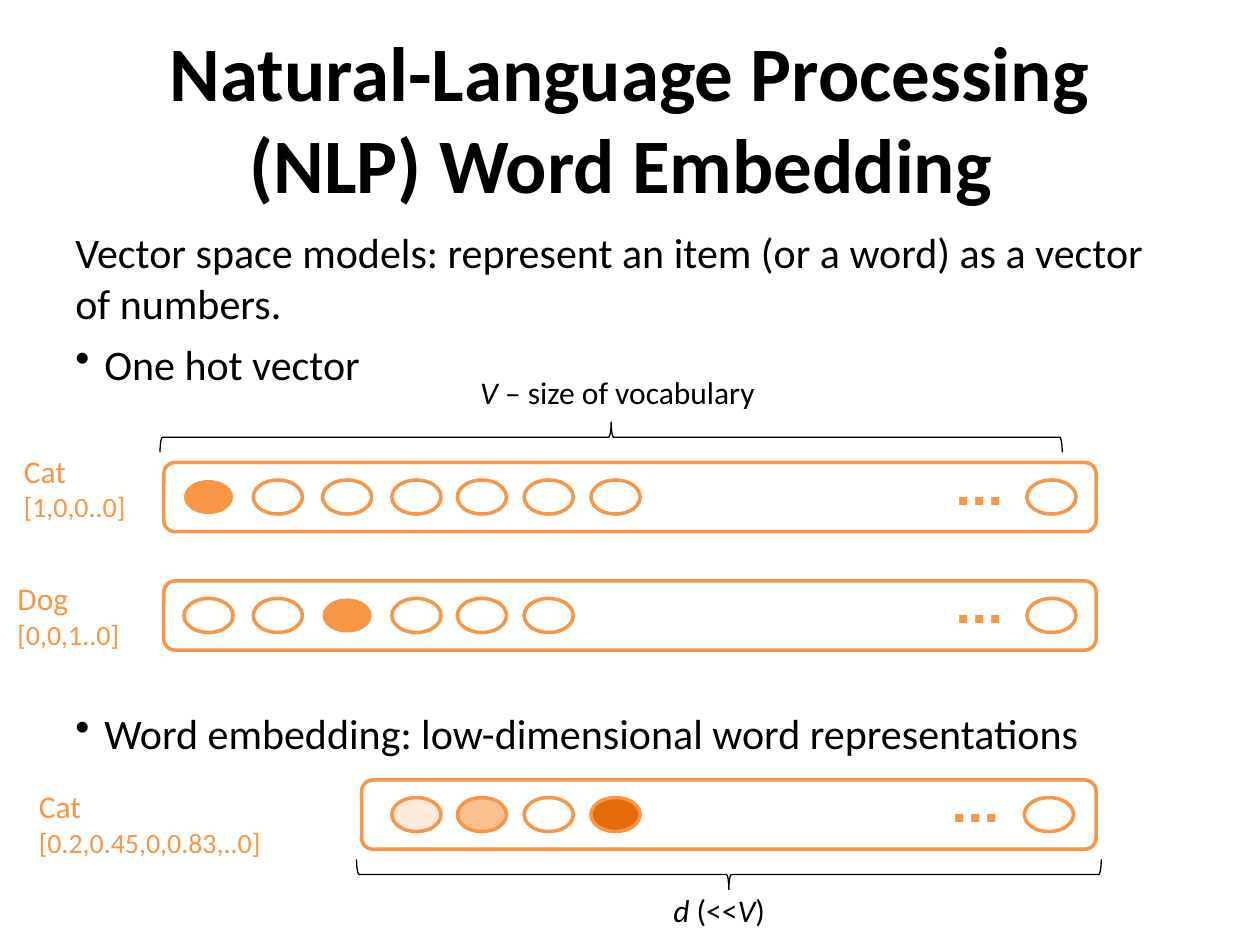
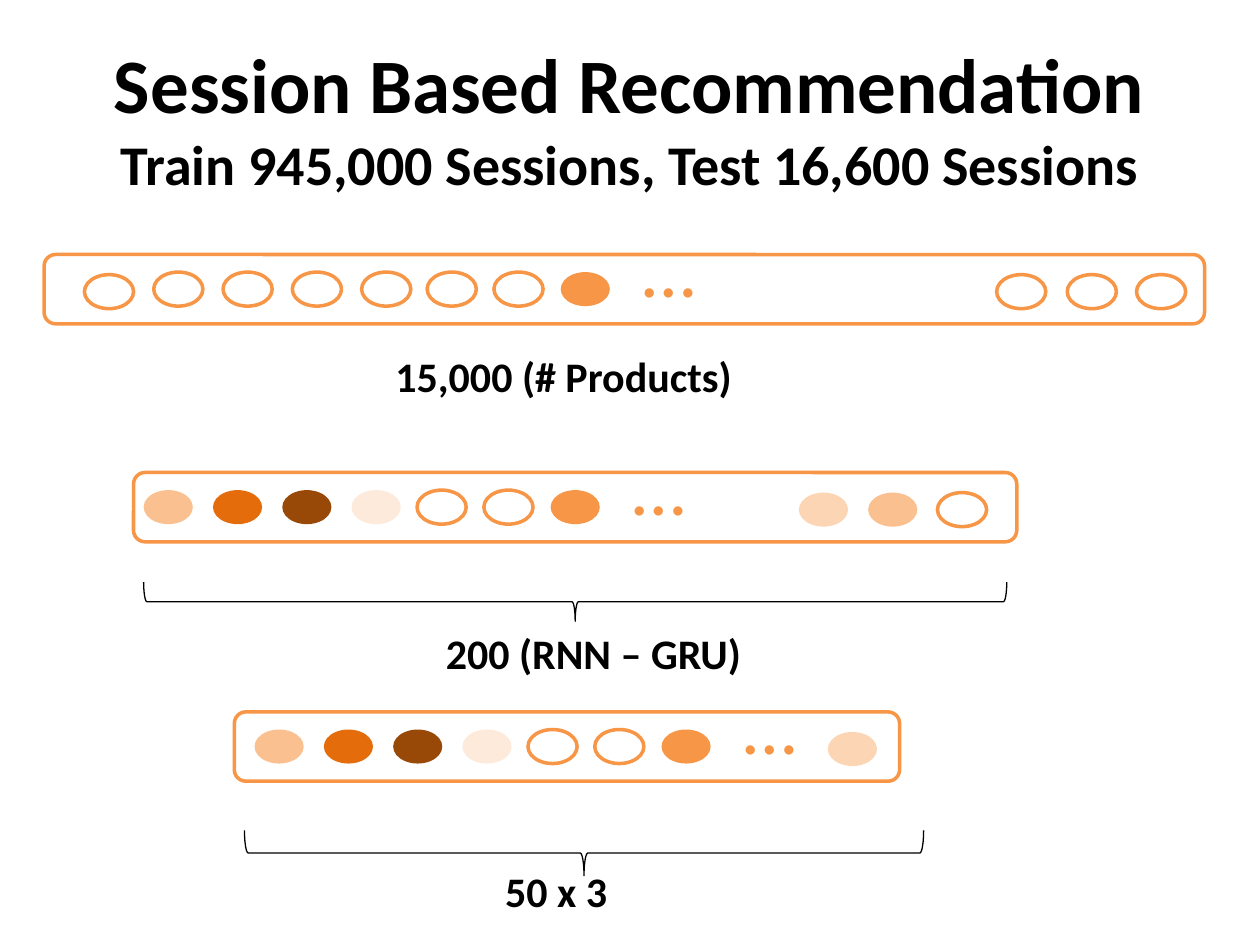
"""Build two slides on word embeddings and session based recommendation."""
from dataclasses import dataclass

import pptx
import pptx.dml.color
import pptx.enum.shapes
import pptx.enum.text
import pptx.oxml.ns
import pptx.util
from lxml import etree

Inches = pptx.util.Inches
Pt = pptx.util.Pt
Shape = pptx.enum.shapes.MSO_SHAPE
Align = pptx.enum.text.PP_ALIGN


@dataclass(frozen=True)
class Theme:
    font: str = "Calibri"
    ink: str = "000000"
    orange: str = "F79646"
    white: str = "FFFFFF"
    palest: str = "FDEADA"
    pale: str = "FCD5B5"
    light: str = "FAC090"
    dark: str = "E46C0A"
    brown: str = "984807"
    title: int = 44
    subtitle: int = 32
    body: int = 24
    label: int = 18
    vector: int = 16


T = Theme()
COLUMNS = (0, 0.55, 1.1, 1.65, 2.17, 2.7, 3.23)


def rgb(color):
    return pptx.dml.color.RGBColor.from_string(color)


class Deck:
    def __init__(self):
        self.deck = pptx.Presentation()
        self.deck.slide_width = Inches(10)
        self.deck.slide_height = Inches(7.5)
        self.slide = None

    def new_slide(self):
        self.slide = self.deck.slides.add_slide(self.deck.slide_layouts[6])

    def style(self, paragraph, size, color=T.ink, bold=False):
        font = paragraph.font
        font.name, font.size, font.bold = T.font, Pt(size), bold
        font.color.rgb = rgb(color)

    def text_frame(self, left, top, width, height, wrap=True):
        box = self.slide.shapes.add_textbox(
            Inches(left), Inches(top), Inches(width), Inches(height))
        box.text_frame.word_wrap = wrap
        return box.text_frame

    def title(self, heading, subtitle=None):
        frame = self.text_frame(0.5, 0.3, 9, 1.25)
        frame.vertical_anchor = pptx.enum.text.MSO_ANCHOR.MIDDLE
        paragraph = frame.paragraphs[0]
        paragraph.alignment = Align.CENTER
        paragraph.add_run().text = heading
        if subtitle:
            paragraph.add_line_break()
            run = paragraph.add_run()
            run.text = subtitle
            run.font.size = Pt(T.subtitle)
        self.style(paragraph, T.title, bold=True)

    def body(self, intro, bullets):
        frame = self.text_frame(0.5, 1.75, 9, 4.95)
        frame.paragraphs[0].text = intro
        self.style(frame.paragraphs[0], T.body)
        for text, gap in bullets:
            paragraph = frame.add_paragraph()
            paragraph.text = text
            paragraph.space_before = Pt(gap)
            properties = paragraph._p.get_or_add_pPr()
            properties.set("marL", str(Inches(0.23)))
            properties.set("indent", str(-Inches(0.23)))
            bullet = etree.SubElement(properties, pptx.oxml.ns.qn("a:buChar"))
            bullet.set("char", "•")
            self.style(paragraph, T.body)

    def word(self, name, vector, left, top, width):
        frame = self.text_frame(left, top, width, 0.67, wrap=False)
        frame.text = f"{name}\n{vector}"
        for paragraph, size in zip(frame.paragraphs, (T.label, T.vector)):
            self.style(paragraph, size, T.orange)

    def measure(self, parts, left, top, width):
        paragraph = self.text_frame(left, top, width, 0.4, wrap=False).paragraphs[0]
        paragraph.alignment = Align.RIGHT
        for text, italic in parts:
            run = paragraph.add_run()
            run.text = text
            run.font.italic = italic
        self.style(paragraph, T.label)

    def caption(self, text, left, top, width):
        paragraph = self.text_frame(left, top, width, 0.5, wrap=False).paragraphs[0]
        paragraph.text = text
        self.style(paragraph, T.body, bold=True)

    def shape(self, kind, left, top, width, height, fill=None, line=None, weight=2):
        shape = self.slide.shapes.add_shape(
            kind, Inches(left), Inches(top), Inches(width), Inches(height))
        shape.shadow.inherit = False
        if fill:
            shape.fill.solid()
            shape.fill.fore_color.rgb = rgb(fill)
        else:
            shape.fill.background()
        if line:
            shape.line.color.rgb = rgb(line)
            shape.line.width = Pt(weight)
        else:
            shape.line.fill.background()
        return shape

    def brace(self, left, top, width, depth, rotation):
        shift = (width - depth) / 2
        self.shape(Shape.LEFT_BRACE, left + shift, top - shift, depth, width,
                   line=T.ink, weight=0.75).rotation = rotation

    def ellipsis(self, left, top, from_right):
        paragraph = self.text_frame(left, top, 2.84, 0.84).paragraphs[0]
        paragraph.text = "…"
        if from_right:
            paragraph.alignment = Align.RIGHT
            paragraph._p.get_or_add_pPr().set("rtl", "1")
        self.style(paragraph, T.title, T.orange)

    def unit(self, left, top, fill, outlined=False):
        line = T.orange if outlined or fill == T.white else None
        self.shape(Shape.OVAL, left, top, 0.39, 0.27, fill, line)

    def layer(self, left, top, width, first, fills, extras, dots,
              skip=0, drop=0.16, from_right=False, outlined=False):
        self.shape(Shape.ROUNDED_RECTANGLE, left, top, width, 0.55, line=T.orange)
        for column, fill in zip(COLUMNS[skip:], fills):
            self.unit(first + column, top + 0.14, fill, outlined)
        for extra_left, fill in extras:
            self.unit(extra_left, top + drop, fill)
        self.ellipsis(dots, top - 0.32, from_right)


def embedding_slide(deck):
    deck.new_slide()
    deck.title("Natural-Language Processing (NLP) Word Embedding ")
    deck.body(
        "Vector space models: represent an item (or a word) as a vector of numbers.",
        [("One hot vector", 6),
         ("Word embedding: low-dimensional word representations", 182.5)])
    deck.word("Cat", "[1,0,0..0]", 0.09, 3.54, 1.01)
    deck.word("Dog", "[0,0,1..0]", 0.04, 4.55, 1.01)
    deck.word("Cat", "[0.2,0.45,0,0.83,..0]", 0.21, 6.2, 1.96)

    cat = [T.orange] + [T.white] * 6
    dog = [T.white] * 2 + [T.orange] + [T.white] * 3
    for top, fills in ((3.67, cat), (4.61, dog)):
        deck.layer(1.3, top, 7.4, 1.46, fills, [(8.15, T.white)], 5.24,
                   drop=0.14, from_right=True)
    deck.layer(2.87, 6.19, 5.83, 1.46, [T.palest, T.light, T.white, T.dark],
               [(8.13, T.white)], 5.21, skip=3, drop=0.14,
               from_right=True, outlined=True)

    deck.brace(1.27, 3.35, 7.16, 0.24, 90)
    deck.measure([("V", True), (" – size of vocabulary", False)], 3.63, 2.91, 2.46)
    deck.brace(2.83, 6.82, 5.91, 0.24, 270)
    deck.measure([("d", True), (" (<<", False), ("V", True), (")", False)],
                 5.24, 7.02, 0.93)


def session_slide(deck):
    deck.new_slide()
    deck.title("Session Based Recommendation",
               "Train 945,000 Sessions, Test 16,600 Sessions")
    hidden = [T.light, T.dark, T.brown, T.palest, T.white, T.white, T.orange]
    deck.layer(0.35, 2.02, 9.21, 1.22, [T.white] * 6 + [T.orange],
               [(left, T.white) for left in (0.67, 7.91, 8.47, 9.02)], 5)
    deck.layer(1.06, 3.75, 7.01, 1.14, hidden,
               [(6.34, T.pale), (6.89, T.light), (7.44, T.white)], 4.92)
    deck.layer(1.86, 5.65, 5.28, 2.02, hidden, [(6.57, T.pale)], 5.8)
    deck.brace(1.14, 4.62, 6.85, 0.31, 270)
    deck.brace(1.94, 6.59, 5.39, 0.36, 270)
    deck.caption("15,000 (# Products)", 3.04, 2.73, 2.87)
    deck.caption("200 (RNN – GRU)", 3.44, 4.93, 2.55)
    deck.caption("50 x 3", 3.91, 6.82, 1.01)


def main():
    deck = Deck()
    embedding_slide(deck)
    session_slide(deck)
    deck.deck.save("out.pptx")


if __name__ == "__main__":
    main()
